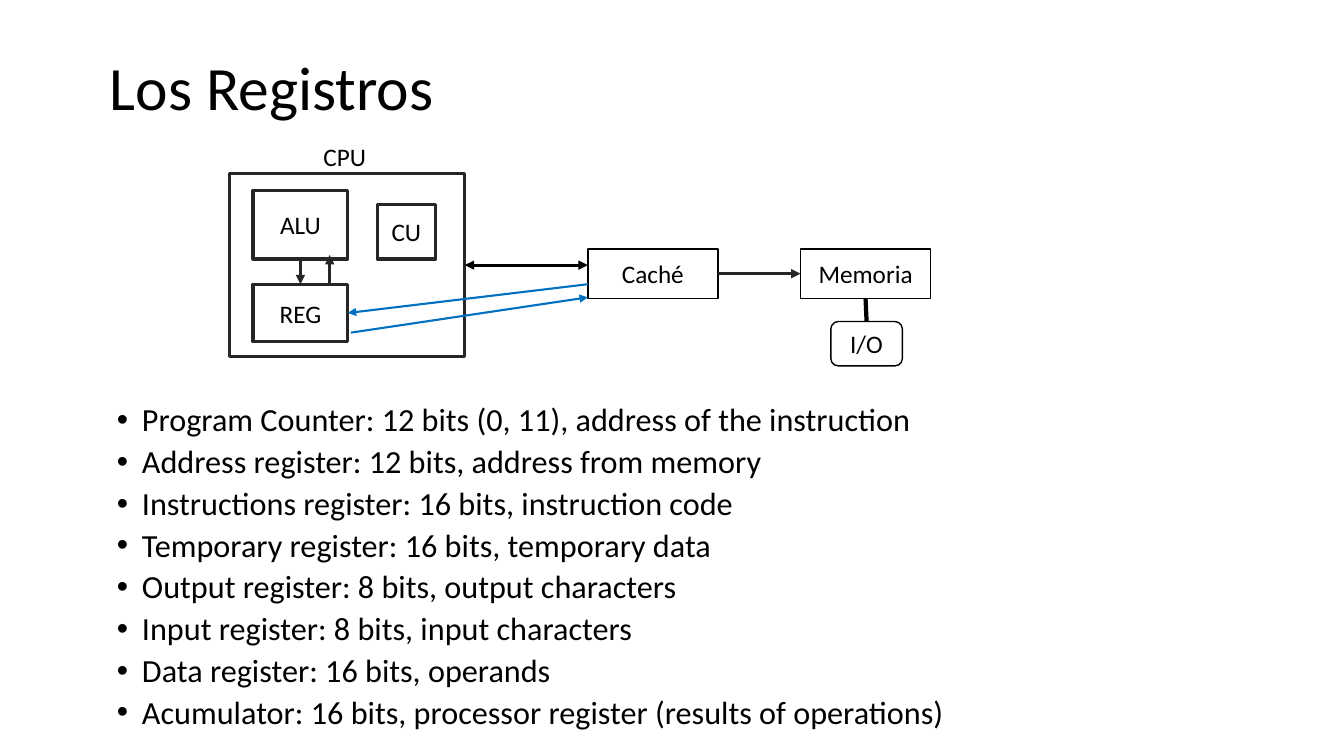
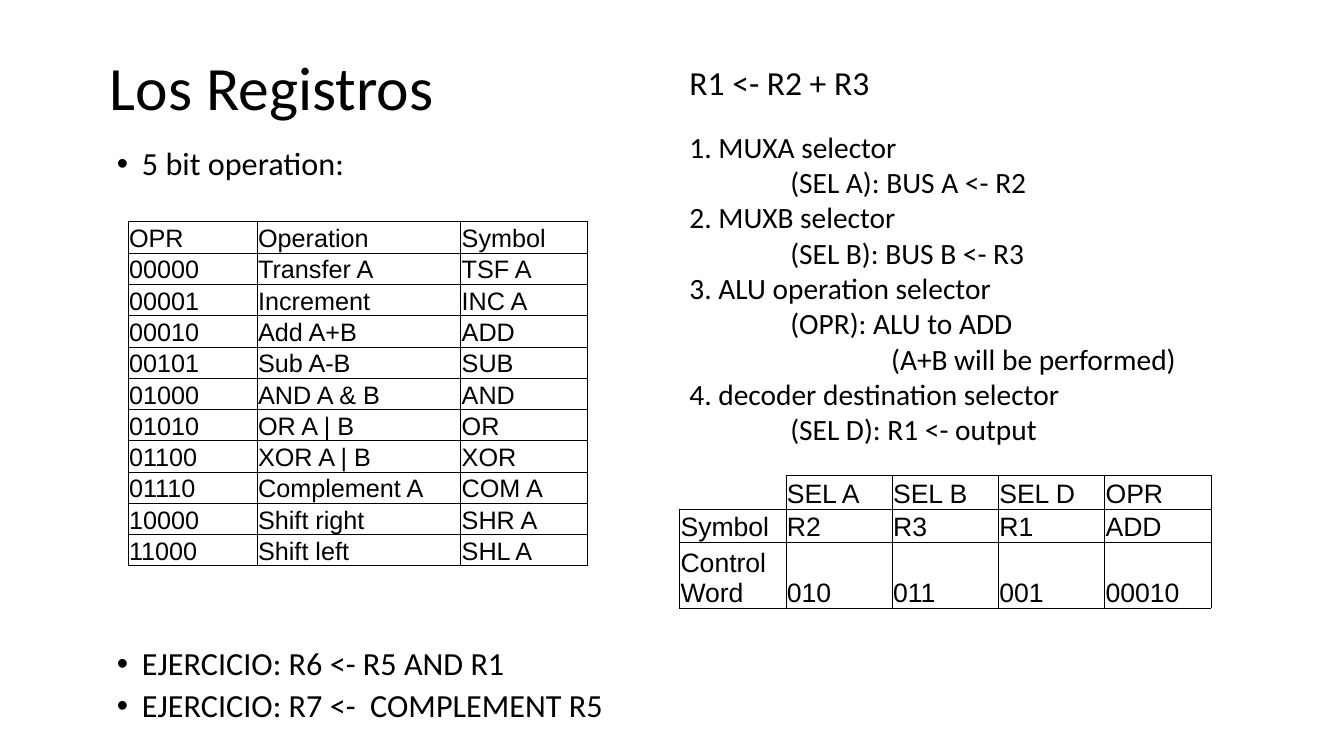
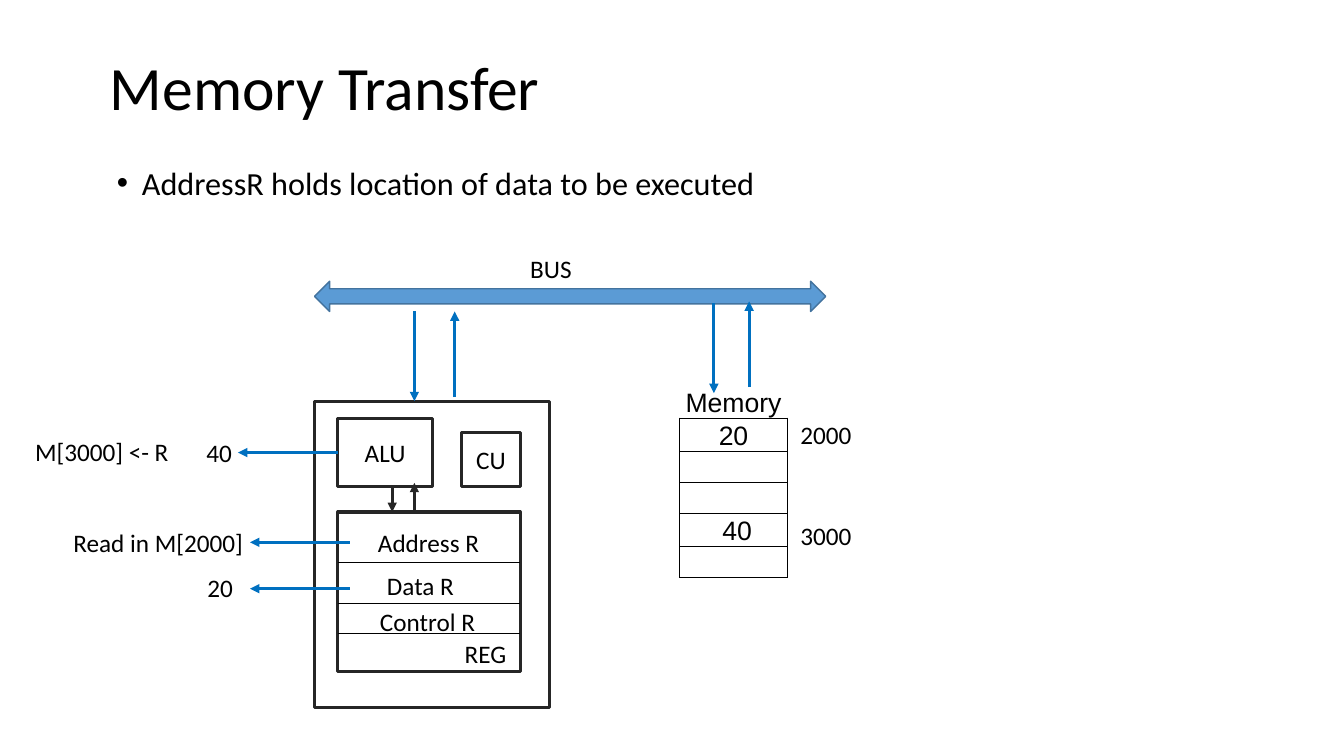
from lxml.etree import SubElement
from pptx import Presentation
from pptx.dml.color import RGBColor
from pptx.enum.shapes import MSO_CONNECTOR, MSO_SHAPE
from pptx.enum.text import MSO_ANCHOR, PP_ALIGN
from pptx.oxml.ns import qn
from pptx.util import Emu, Pt

PX = 9144
BLACK, DARK, BLUE = "000000", "262626", "0070C0"
BUS_FILL, BUS_LINE = "5B9BD5", "43739E"
BODY_FONT, TABLE_FONT = "Calibri", "Arial"
TOP, LEFT, BOTTOM, RIGHT = range(4)


def px(n):
    """Turn px into EMU."""
    return Emu(int(n * PX))


def rgb(color):
    """Turn a hex string into a colour."""
    return RGBColor.from_string(color)


def style(p, size, font=BODY_FONT, color=BLACK):
    """Format every run of a paragraph."""
    for r in p.runs:
        r.font.size = Pt(size)
        r.font.name = font
        r.font.color.rgb = rgb(color)


def add_text(s, box, lines, size=18, wrap=True, anchor=MSO_ANCHOR.TOP):
    """Add a text box with one paragraph per line and return its paragraphs."""
    tf = s.shapes.add_textbox(*map(px, box)).text_frame
    tf.word_wrap = wrap
    tf.vertical_anchor = anchor
    tf.text = "\n".join(lines)
    for p in tf.paragraphs:
        style(p, size)
    return tf.paragraphs


def add_label(s, x, y, w, text, size=18):
    """Add a single-line label."""
    add_text(s, (x, y, w, 40), [text], size, wrap=False)


def add_title(s, text):
    """Add the slide title."""
    p = add_text(s, (99, 43, 1150, 93), [text], 44, anchor=MSO_ANCHOR.MIDDLE)[0]
    p.line_spacing = 0.9


def add_bullets(s, y, h, lines):
    """Add the bulleted body text."""
    for p in add_text(s, (56, y, 1235, h), lines, 23):
        p.line_spacing = 0.9
        p.space_before = Pt(5)
        pPr = p._p.get_or_add_pPr()
        pPr.set("marL", str(px(75)))
        pPr.set("indent", str(px(-25)))
        SubElement(pPr, qn("a:buFont"), typeface="Arial")
        SubElement(pPr, qn("a:buChar"), char="•")


def add_box(s, box, text="", line=DARK, width=2.25, kind=MSO_SHAPE.RECTANGLE, fill=None):
    """Add an outlined shape with centred text."""
    sp = s.shapes.add_shape(kind, *map(px, box))
    sp.shadow.inherit = False
    if fill:
        sp.fill.solid()
        sp.fill.fore_color.rgb = rgb(fill)
    else:
        sp.fill.background()
    sp.line.color.rgb = rgb(line)
    sp.line.width = Pt(width)
    if text:
        tf = sp.text_frame
        tf.word_wrap = False
        tf.vertical_anchor = MSO_ANCHOR.MIDDLE
        tf.text = text
        tf.paragraphs[0].alignment = PP_ALIGN.CENTER
        style(tf.paragraphs[0], 18)
    return sp


def add_line(s, start, end, color=BLUE, width=2.25, ends=("tailEnd",), begin_at=None, end_at=None):
    """Add a line or arrow, joined to (shape, side) pairs where given."""
    cx = s.shapes.add_connector(MSO_CONNECTOR.STRAIGHT, *map(px, start + end))
    if begin_at:
        cx.begin_connect(*begin_at)
    if end_at:
        cx.end_connect(*end_at)
    cx.line.color.rgb = rgb(color)
    cx.line.width = Pt(width)
    ln = cx.line._get_or_add_ln()
    for tag in ends:
        SubElement(ln, qn(f"a:{tag}"), type="triangle")
    SubElement(cx._element.spPr, qn("a:effectLst"))


def set_borders(cell, sides):
    """Draw thin black borders on the named sides and clear the others."""
    tcPr = cell._tc.get_or_add_tcPr()
    for side in "LRTB":
        ln = SubElement(tcPr, qn(f"a:ln{side}"), w=str(Pt(0.5)))
        if side in sides:
            fill = SubElement(ln, qn("a:solidFill"))
            SubElement(fill, qn("a:srgbClr"), val=BLACK)
        else:
            SubElement(ln, qn("a:noFill"))


def add_grid(s, x, y, cols, heights, rows, size, corner="LRTB", align=PP_ALIGN.LEFT):
    """Add a plain ruled table; corner names the borders of its first cell."""
    box = (x, y, sum(cols), sum(heights))
    table = s.shapes.add_table(len(rows), len(cols), *map(px, box)).table
    table.first_row = table.horz_banding = False
    for col, w in zip(table.columns, cols):
        col.width = px(w)
    for row, h in zip(table.rows, heights):
        row.height = px(h)
    for i, row in enumerate(rows):
        for j, text in enumerate(row):
            cell = table.cell(i, j)
            cell.margin_left = cell.margin_right = cell.margin_top = px(1)
            cell.margin_bottom = 0
            cell.vertical_anchor = MSO_ANCHOR.BOTTOM
            set_borders(cell, "LRTB" if i or j else corner)
            cell.fill.background()
            cell.text = text
            p = cell.text_frame.paragraphs[0]
            p.alignment = align
            style(p, size, TABLE_FONT)
            if not text:
                p._p.get_or_add_endParaRPr().set("sz", "1600")


def add_cpu(s, x, y, h, reg_w, reg_h, reg_text=""):
    """Draw the CPU with its units and return the CPU, ALU and register boxes."""
    cpu = add_box(s, (x, y, 233, h))
    alu = add_box(s, (x + 23, y + 17, 94, 68), "ALU")
    add_box(s, (x + 146, y + 31, 58, 54), "CU")
    reg = add_box(s, (x + 23, y + 110, reg_w, reg_h), reg_text)
    add_line(s, (x + 99, y + 110), (x + 99, y + 81), DARK)
    return cpu, alu, reg


def add_cache_diagram(s, x, y):
    """Draw the CPU, cache, memory and I/O chain."""
    cpu, alu, reg = add_cpu(s, x, y, 182, 94, 57, "REG")
    add_label(s, x + 83, y - 37, 63, "CPU")
    cache = add_box(s, (x + 355, y + 75, 129, 49), "Caché", BLACK, 1)
    memory = add_box(s, (x + 566, y + 75, 129, 49), "Memoria", BLACK, 1)
    io = add_box(s, (x + 596, y + 147, 71, 44), "I/O", BLACK, 1, MSO_SHAPE.ROUNDED_RECTANGLE)
    add_line(s, (x + 70, y + 85), (x + 70, y + 110), DARK,
             begin_at=(alu, BOTTOM), end_at=(reg, TOP))
    add_line(s, (x + 233, y + 91), (x + 355, y + 91), BLACK,
             ends=("headEnd", "tailEnd"), begin_at=(cpu, RIGHT))
    add_line(s, (x + 355, y + 110), (x + 117, y + 139), width=1.5, end_at=(reg, RIGHT))
    add_line(s, (x + 120, y + 158), (x + 355, y + 123), width=1.5)
    add_line(s, (x + 484, y + 100), (x + 566, y + 100), DARK,
             begin_at=(cache, RIGHT), end_at=(memory, LEFT))
    add_line(s, (x + 631, y + 124), (x + 631, y + 147), BLACK, 3, (),
             begin_at=(memory, BOTTOM), end_at=(io, TOP))


def add_steps(s, box, steps):
    """Add the numbered steps, each with its indent level."""
    levels, lines = zip(*steps)
    for p, level in zip(add_text(s, box, lines, 21), levels):
        p._p.get_or_add_pPr().set("marL", str(px(100 * level)))


def add_register_cpu(s, x, y):
    """Draw the CPU with its named registers and what they exchange."""
    _, alu, _ = add_cpu(s, x, y, 304, 181, 158)
    add_line(s, (x + 77, y + 84), (x + 77, y + 110), DARK)
    for dy in (160, 201, 230):
        add_line(s, (x + 23, y + dy), (x + 204, y + dy), BLACK, 0.5, ())
    for dx, dy, w, text in (
        (53, 120, 122, "Address R"),
        (62, 163, 87, "Data R"),
        (55, 199, 115, "Control R"),
        (139, 230, 62, "REG"),
        (-249, 120, 190, "Read in M[2000]"),
        (-116, 165, 46, "20"),
        (-117, 31, 46, "40"),
        (-287, 30, 154, "M[3000] <- R"),
    ):
        add_label(s, x + dx, y + dy, w, text)
    for dy in (140, 186):
        add_line(s, (x + 35, y + dy), (x - 64, y + dy))
    add_line(s, (x + 23, y + 51), (x - 76, y + 51), begin_at=(alu, LEFT))


def add_bus(s, x, y):
    """Draw the bus with the arrows to and from it."""
    add_box(s, (x, y, 507, 30), "", BUS_LINE, 1, MSO_SHAPE.LEFT_RIGHT_ARROW, BUS_FILL)
    add_label(s, x + 204, y - 33, 62, "BUS")
    for dx, start, end in ((99, 30, 119), (139, 115, 30), (396, 22, 111), (431, 105, 20)):
        add_line(s, (x + dx, y + start), (x + dx, y + end))


def add_memory(s, x, y):
    """Draw the memory column with its addresses."""
    rows = [[text] for text in ("Memory", "20", "", "", " 40", "")]
    add_grid(s, x, y, [107], [31] * 6, rows, 19, "B", PP_ALIGN.CENTER)
    add_label(s, x + 110, y + 29, 71, "2000")
    add_label(s, x + 110, y + 129, 71, "3000")


def registers_slide(s):
    """Build the slide that lists the registers."""
    add_title(s, "Los Registros")
    add_bullets(s, 396, 305, [
        "Program Counter: 12 bits (0, 11), address of the instruction",
        "Address register: 12 bits, address from memory",
        "Instructions register: 16 bits, instruction code",
        "Temporary register: 16 bits, temporary data",
        "Output register: 8 bits, output characters",
        "Input register: 8 bits, input characters",
        "Data register: 16 bits, operands",
        "Acumulator: 16 bits, processor register (results of operations)",
    ])
    add_cache_diagram(s, 228, 172)


def operations_slide(s):
    """Build the slide on operation codes and the control word."""
    add_title(s, "Los Registros")
    add_bullets(s, 142, 50, ["5 bit operation:"])
    add_bullets(s, 638, 90, ["EJERCICIO: R6 <- R5 AND R1", "EJERCICIO: R7 <-  COMPLEMENT R5"])
    add_grid(s, 127, 220, [128, 202, 126], [31, 30] * 4 + [30] * 3, [
        ["OPR", "Operation", "Symbol"],
        ["00000", "Transfer A", "TSF A"],
        ["00001", "Increment", "INC A"],
        ["00010", "Add A+B", "ADD"],
        ["00101", "Sub A-B", "SUB"],
        ["01000", "AND A & B", "AND"],
        ["01010", "OR A | B", "OR"],
        ["01100", "XOR A | B", "XOR"],
        ["01110", "Complement A", "COM A"],
        ["10000", "Shift right", "SHR A"],
        ["11000", "Shift left", "SHL A"],
    ], 18)
    add_label(s, 674, 57, 200, "R1 <- R2 + R3", 24)
    add_steps(s, (674, 123, 576, 328), [
        (0, "1. MUXA selector"),
        (1, "(SEL A): BUS A <- R2"),
        (0, "2. MUXB selector"),
        (1, "(SEL B): BUS B <- R3"),
        (0, "3. ALU operation selector"),
        (1, "(OPR): ALU to ADD"),
        (2, "(A+B will be performed)"),
        (0, "4. decoder destination selector"),
        (1, "(SEL D): R1 <- output"),
    ])
    add_grid(s, 674, 472, [105.4] * 5, [33, 33, 65], [
        ["", "SEL A", "SEL B", "SEL D", "OPR"],
        ["Symbol", "R2", "R3", "R1", "ADD"],
        ["Control Word", "010", "011", "001", "00010"],
    ], 19, "RB")


def transfer_slide(s):
    """Build the slide on memory transfer."""
    add_title(s, "Memory Transfer")
    add_bullets(s, 161, 50, ["AddressR holds location of data to be executed"])
    add_memory(s, 674, 382)
    add_register_cpu(s, 312, 398)
    add_bus(s, 312, 279)


def main():
    """Build and save the presentation."""
    prs = Presentation()
    prs.slide_width, prs.slide_height = px(1333), px(750)
    for build in (registers_slide, operations_slide, transfer_slide):
        build(prs.slides.add_slide(prs.slide_layouts[6]))
    prs.save("out.pptx")


if __name__ == "__main__":
    main()
